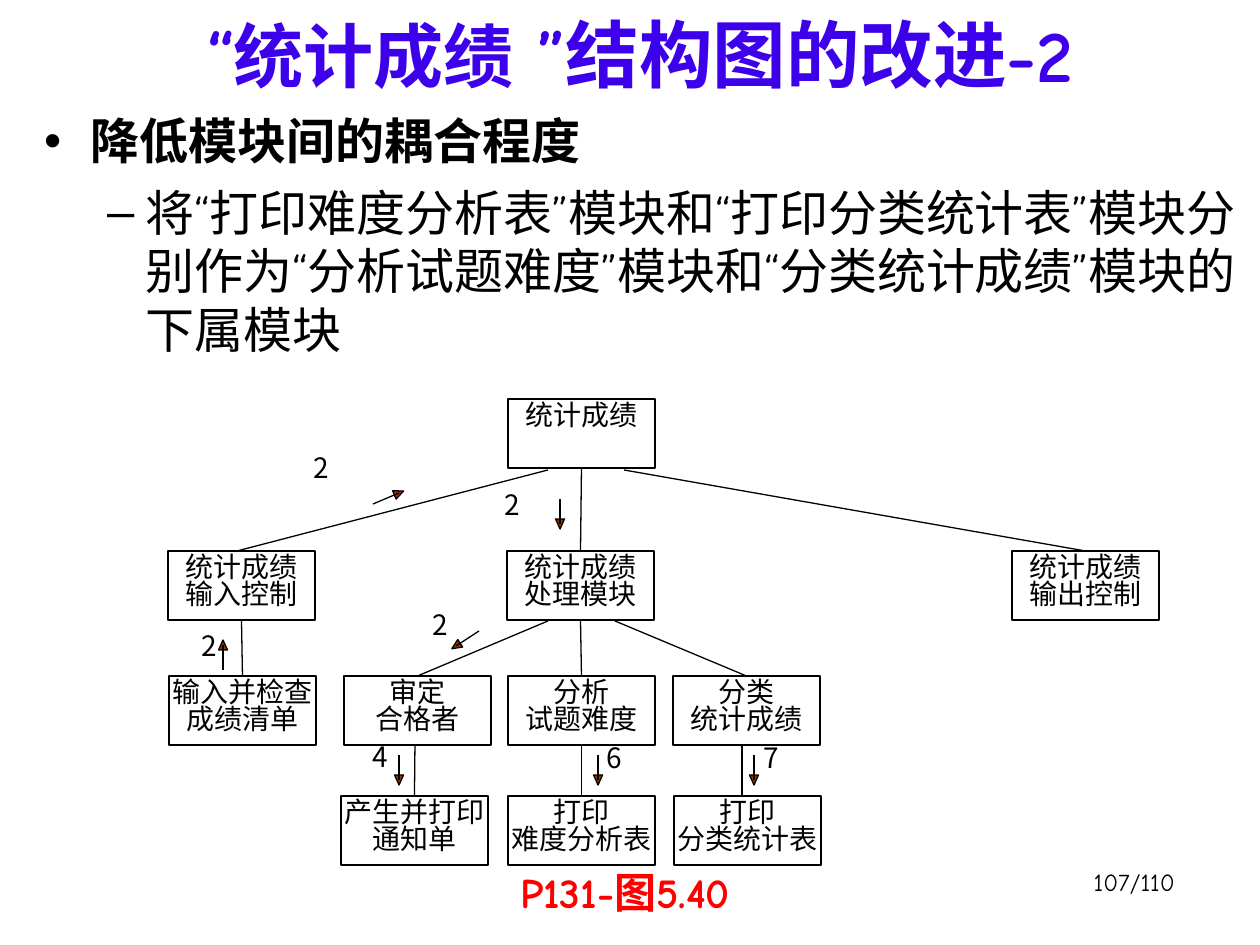
from dataclasses import dataclass
from itertools import groupby
from math import atan2, degrees

from lxml.etree import SubElement
from pptx import Presentation
from pptx.dml.color import RGBColor
from pptx.enum.shapes import MSO_CONNECTOR, MSO_SHAPE
from pptx.enum.text import MSO_ANCHOR, PP_ALIGN
from pptx.oxml.ns import qn
from pptx.util import Emu, Pt

PX_PER_INCH = 126
BLACK = RGBColor(0x00, 0x00, 0x00)
BLUE = RGBColor(0x3D, 0x00, 0xEA)
RED = RGBColor(0xFF, 0x00, 0x00)
BROWN = RGBColor(0x99, 0x33, 0x00)
MAIN_FONT, QUOTE_FONT = "Comic Neue", "Arial"
BOX_FONT, LABEL_FONT = "Times New Roman", "Noto Sans CJK SC"
LINE_WIDTH = Pt(0.75)
BOX_WIDTH, BOX_HEIGHT = 147, 69
TOP, BOTTOM = 0, 2
ROWS = (399, 551, 676, 796)


@dataclass
class Module:
    left: int
    row: int
    text: str


@dataclass
class Flow:
    """A data count with the small arrow showing its direction."""
    count: str
    left: int
    top: int
    width: int
    tail: tuple[int, int]
    head: tuple[int, int]


MODULES = {
    "root": Module(508, 0, "统计成绩"),
    "input": Module(168, 1, "统计成绩\n输入控制"),
    "process": Module(507, 1, "统计成绩\n处理模块"),
    "output": Module(1012, 1, "统计成绩\n输出控制"),
    "check": Module(169, 2, "输入并检查\n成绩清单"),
    "approve": Module(344, 2, "审定\n合格者"),
    "analyse": Module(508, 2, "分析\n试题难度"),
    "classify": Module(673, 2, "分类\n统计成绩"),
    "notice": Module(341, 3, "产生并打印\n通知单"),
    "print_analysis": Module(508, 3, "打印\n难度分析表"),
    "print_classes": Module(674, 3, "打印\n分类统计表"),
}

# Each end is a module name, or a point away from the middle of a side
LINKS = [
    ((548, 470), (237, 551)),
    ("root", "process"),
    ((624, 470), "output"),
    ("input", "check"),
    ((548, 621), "approve"),
    ("process", "analyse"),
    ((615, 621), "classify"),
    ((415, 745), "notice"),
    ("analyse", "print_analysis"),
    ((742, 745), (742, 796)),
]

FLOWS = [
    Flow("2", 309, 452, 88, (373, 504), (399, 493)),
    Flow("2", 500, 489, 185, (560, 499), (560, 524)),
    Flow("2", 197, 630, 57, (223, 670), (223, 645)),
    Flow("2", 428, 609, 48, (479, 631), (456, 646)),
    Flow("4", 368, 741, 116, (399, 755), (399, 780)),
    Flow("6", 602, 742, 38, (598, 755), (598, 780)),
    Flow("7", 759, 742, 38, (754, 755), (754, 780)),
]


def px(value: float) -> Emu:
    return Emu(round(value * 914400 / PX_PER_INCH))


def write_paragraph(paragraph, text: str, *, font: str = MAIN_FONT, size: int = 28,
                    color: RGBColor = BLACK, bold: bool = False,
                    align=PP_ALIGN.LEFT, line_spacing: float = 1.0) -> None:
    paragraph.alignment = align
    paragraph.line_spacing = line_spacing
    for is_quote, characters in groupby(text, key=lambda character: character in "“”"):
        run = paragraph.add_run()
        run.text = "".join(characters)
        run.font.name = QUOTE_FONT if is_quote else font
        run.font.size, run.font.bold = Pt(size), bold
        run.font.color.rgb = color
        run.font._element.set("lang", "zh-CN")
        east_asian = SubElement(run.font._element, qn("a:ea"))
        east_asian.set("typeface", MAIN_FONT)


def write_text(frame, text: str, *, inset: tuple[int, int] = (13, 6),
               anchor=MSO_ANCHOR.TOP, **text_format) -> None:
    frame.word_wrap = True
    frame.vertical_anchor = anchor
    frame.margin_left = frame.margin_right = px(inset[0])
    frame.margin_top = frame.margin_bottom = px(inset[1])
    for index, line in enumerate(text.split("\n")):
        paragraph = frame.add_paragraph() if index else frame.paragraphs[0]
        write_paragraph(paragraph, line, **text_format)


def add_text(slide, left: int, top: int, width: int, height: int, text: str, **text_format):
    shape = slide.shapes.add_textbox(px(left), px(top), px(width), px(height))
    write_text(shape.text_frame, text, **text_format)
    return shape


def add_bullet(paragraph, character: str, margin: int, hanging: int) -> None:
    properties = paragraph._p.get_or_add_pPr()
    properties.set("marL", str(px(margin)))
    properties.set("indent", str(-px(hanging)))
    SubElement(properties, qn("a:buFont")).set("typeface", QUOTE_FONT)
    SubElement(properties, qn("a:buChar")).set("char", character)


def add_line(slide, start: tuple[int, int], end: tuple[int, int]):
    line = slide.shapes.add_connector(MSO_CONNECTOR.STRAIGHT, *map(px, (*start, *end)))
    line.line.color.rgb = BLACK
    line.line.width = LINE_WIDTH
    SubElement(line._element.spPr, qn("a:effectLst"))
    return line


def add_module(slide, module: Module):
    shape = slide.shapes.add_shape(MSO_SHAPE.RECTANGLE, px(module.left), px(ROWS[module.row]),
                                   px(BOX_WIDTH), px(BOX_HEIGHT))
    shape.shadow.inherit = False
    shape.fill.background()
    shape.line.color.rgb = BLACK
    shape.line.width = LINE_WIDTH
    write_text(shape.text_frame, module.text, inset=(3, 5), font=BOX_FONT, size=16,
               align=PP_ALIGN.CENTER, line_spacing=0.8)
    return shape


def add_link(slide, shapes: dict, start, end) -> None:
    line = add_line(slide, *((0, 0) if isinstance(point, str) else point for point in (start, end)))
    if isinstance(start, str):
        line.begin_connect(shapes[start], BOTTOM)
    if isinstance(end, str):
        line.end_connect(shapes[end], TOP)


def add_flow(slide, flow: Flow) -> None:
    add_text(slide, flow.left, flow.top, flow.width, 55, flow.count, inset=(5, 5),
             font=LABEL_FONT, size=16, align=PP_ALIGN.JUSTIFY, line_spacing=0.8)
    (tail_x, tail_y), (head_x, head_y) = flow.tail, flow.head
    width, height = 9, 10
    head = slide.shapes.add_shape(MSO_SHAPE.ISOSCELES_TRIANGLE, px(head_x - width / 2),
                                  px(head_y - height / 2), px(width), px(height))
    head.rotation = degrees(atan2(head_x - tail_x, tail_y - head_y))
    head.shadow.inherit = False
    head.fill.solid()
    head.fill.fore_color.rgb = BROWN
    head.line.color.rgb = BLACK
    head.line.width = LINE_WIDTH
    add_line(slide, flow.tail, flow.head)


def main() -> None:
    presentation = Presentation()
    presentation.slide_width, presentation.slide_height = px(1260), px(945)
    slide = presentation.slides.add_slide(presentation.slide_layouts[6])

    # Title, with its first words slightly smaller
    title = add_text(slide, 73, 0, 1134, 103, "“统计成绩 ”结构图的改进-2", size=42, color=BLUE,
                     bold=True, align=PP_ALIGN.CENTER, anchor=MSO_ANCHOR.BOTTOM)
    title.text_frame.paragraphs[0].runs[1].font.size = Pt(40)

    # Body
    body = add_text(slide, 31, 105, 1229, 315, "降低模块间的耦合程度", bold=True).text_frame
    add_bullet(body.paragraphs[0], "•", 47, 47)
    detail = body.add_paragraph()
    write_paragraph(detail, "将“打印难度分析表”模块和“打印分类统计表”模块分别作为"
                            "“分析试题难度”模块和“分类统计成绩”模块的下属模块")
    detail.level = 1
    detail.space_before = Pt(7)
    add_bullet(detail, "–", 102, 39)

    # Structure chart
    shapes = {name: add_module(slide, module) for name, module in MODULES.items()}
    for start, end in LINKS:
        add_link(slide, shapes, start, end)
    for flow in FLOWS:
        add_flow(slide, flow)

    # Caption and page number
    add_text(slide, 252, 861, 746, 63, "P131-图5.40", size=24, color=RED, bold=True,
             align=PP_ALIGN.CENTER)
    add_text(slide, 926, 861, 262, 63, "107/110", size=14, align=PP_ALIGN.RIGHT)

    presentation.save("out.pptx")


if __name__ == "__main__":
    main()
